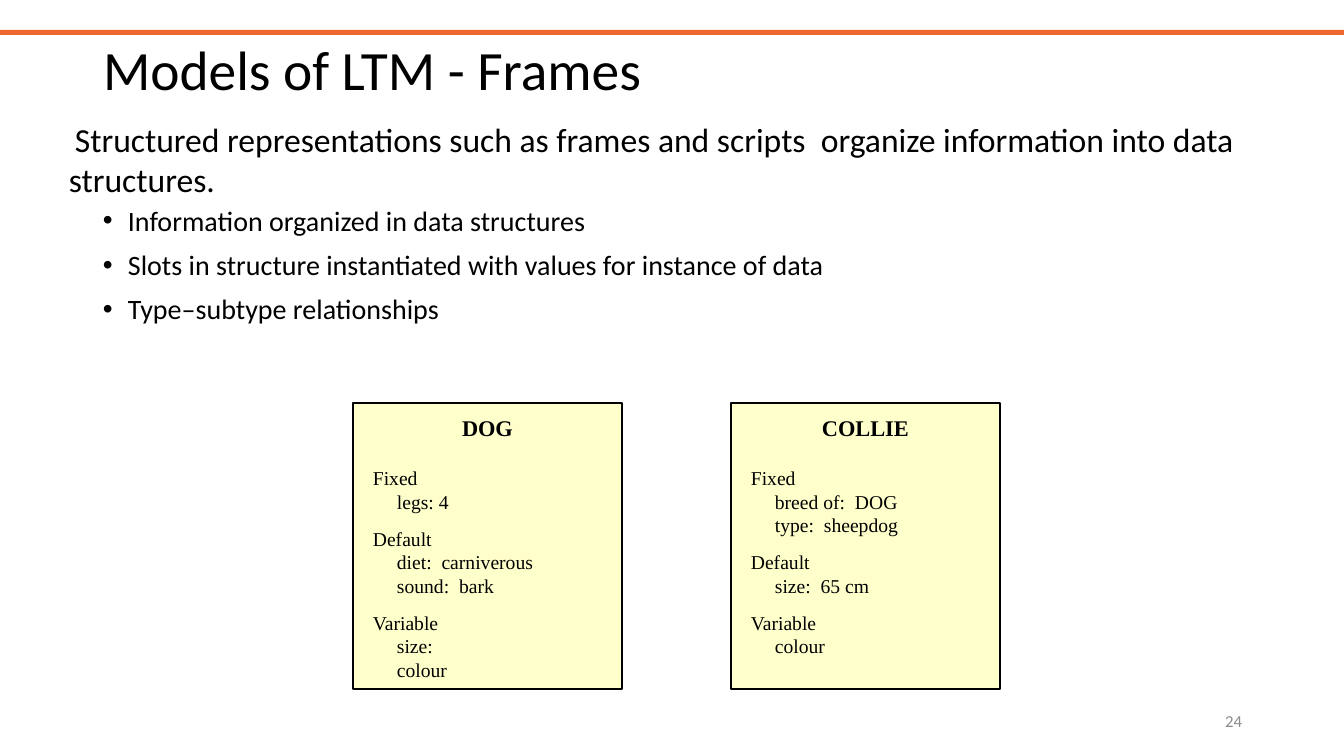
from lxml import etree
from pptx import Presentation
from pptx.dml.color import RGBColor
from pptx.enum.shapes import MSO_SHAPE
from pptx.enum.text import MSO_ANCHOR, PP_ALIGN
from pptx.oxml.ns import qn
from pptx.util import Emu, Pt

EMU_PER_PX = 914400 / 100.8
TITLE_ONLY = 5

BLACK = RGBColor(0x00, 0x00, 0x00)
ORANGE = RGBColor(0xED, 0x68, 0x2F)
CREAM = RGBColor(0xFF, 0xFF, 0xCC)
GREY = RGBColor(0x8C, 0x8C, 0x8C)

SANS = "Calibri"
SERIF = "Times New Roman"

INTRO = ("Structured representations such as frames and scripts  "
         "organize information into data structures.")
POINTS = [
    "Information organized in data structures",
    "Slots in structure instantiated with values for instance of data",
    "Type–subtype relationships",
]
FRAMES = [
    ("DOG", [
        ("Fixed", ["legs: 4"]),
        ("Default", ["diet:  carniverous", "sound:  bark"]),
        ("Variable", ["size:", "colour"]),
    ]),
    ("COLLIE", [
        ("Fixed", ["breed of:  DOG", "type:  sheepdog"]),
        ("Default", ["size:  65 cm"]),
        ("Variable", ["colour"]),
    ]),
]
FRAME_LEFT, FRAME_PITCH = 353, 378


def px(length):
    return Emu(round(length * EMU_PER_PX))


def set_font(paragraph, name, size, color=BLACK, bold=False):
    font = paragraph.font
    font.name, font.size, font.bold = name, Pt(size), bold
    font.color.rgb = color


def set_indent(paragraph, margin, first_line=0):
    properties = paragraph._p.get_or_add_pPr()
    properties.set("marL", str(px(margin)))
    properties.set("indent", str(px(first_line)))
    return properties


def next_paragraph(text_frame, text):
    """Fill the empty first paragraph, or append a new one."""
    paragraph = text_frame.paragraphs[0]
    if paragraph.runs:
        paragraph = text_frame.add_paragraph()
    paragraph.text = text
    return paragraph


def add_rectangle(slide, left, top, width, height, fill):
    shape = slide.shapes.add_shape(
        MSO_SHAPE.RECTANGLE, px(left), px(top), px(width), px(height))
    shape.shadow.inherit = False
    shape.fill.solid()
    shape.fill.fore_color.rgb = fill
    shape.line.fill.background()
    return shape


def add_text_box(slide, left, top, width, height):
    box = slide.shapes.add_textbox(px(left), px(top), px(width), px(height))
    box.text_frame.word_wrap = True
    return box.text_frame


def set_title(slide, text):
    title = slide.shapes.title
    title.left, title.top = px(93), px(40)
    title.width, title.height = px(1159), px(66)
    text_frame = title.text_frame
    text_frame.vertical_anchor = MSO_ANCHOR.MIDDLE
    paragraph = next_paragraph(text_frame, text)
    paragraph.alignment = PP_ALIGN.LEFT
    paragraph.line_spacing = 0.9
    set_font(paragraph, SANS, 39.6)


def add_intro(slide):
    paragraph = next_paragraph(add_text_box(slide, 59, 114, 1226, 92), INTRO)
    set_indent(paragraph, 0, 6)
    set_font(paragraph, SANS, 24)


def add_bullets(slide):
    text_frame = add_text_box(slide, 93, 202, 1084, 130)
    for index, point in enumerate(POINTS):
        paragraph = next_paragraph(text_frame, point)
        paragraph.line_spacing = 0.9
        paragraph.space_before = Pt(10 if index else 0)
        properties = set_indent(paragraph, 25, -25)
        etree.SubElement(properties, qn("a:buFont")).set("typeface", "Arial")
        etree.SubElement(properties, qn("a:buChar")).set("char", "•")
        set_font(paragraph, SANS, 20)


def add_frame(slide, left, heading, sections):
    """Draw one frame: a heading over sections of indented slots."""
    shape = add_rectangle(slide, left, 403, 269, 286, CREAM)
    shape.line.color.rgb = BLACK
    shape.line.width = Pt(1.5)
    text_frame = shape.text_frame
    text_frame.word_wrap = True
    text_frame.vertical_anchor = MSO_ANCHOR.TOP
    text_frame.margin_top = px(11)

    paragraph = next_paragraph(text_frame, heading)
    paragraph.alignment = PP_ALIGN.CENTER
    set_font(paragraph, SERIF, 16, bold=True)
    for index, (section, slots) in enumerate(sections):
        lines = [(section, 10, 9.6 if index else 18)]
        lines += [(slot, 34, 0) for slot in slots]
        for text, margin, gap in lines:
            paragraph = next_paragraph(text_frame, text)
            paragraph.alignment = PP_ALIGN.LEFT
            paragraph.line_spacing = Pt(16.8)
            paragraph.space_before = Pt(gap)
            set_indent(paragraph, margin)
            set_font(paragraph, SERIF, 14)


def add_slide_number(slide, number):
    text_frame = add_text_box(slide, 950, 701, 302, 40)
    text_frame.vertical_anchor = MSO_ANCHOR.MIDDLE
    paragraph = next_paragraph(text_frame, number)
    paragraph.alignment = PP_ALIGN.RIGHT
    set_font(paragraph, SANS, 12, GREY)


def main():
    presentation = Presentation()
    presentation.slide_width, presentation.slide_height = px(1344), px(756)
    slide = presentation.slides.add_slide(
        presentation.slide_layouts[TITLE_ONLY])
    add_rectangle(slide, 0, 30, 1344, 5, ORANGE)
    set_title(slide, "Models of LTM - Frames")
    add_intro(slide)
    add_bullets(slide)
    for index, (heading, sections) in enumerate(FRAMES):
        add_frame(slide, FRAME_LEFT + index * FRAME_PITCH, heading, sections)
    add_slide_number(slide, "24")
    presentation.save("out.pptx")


if __name__ == "__main__":
    main()
